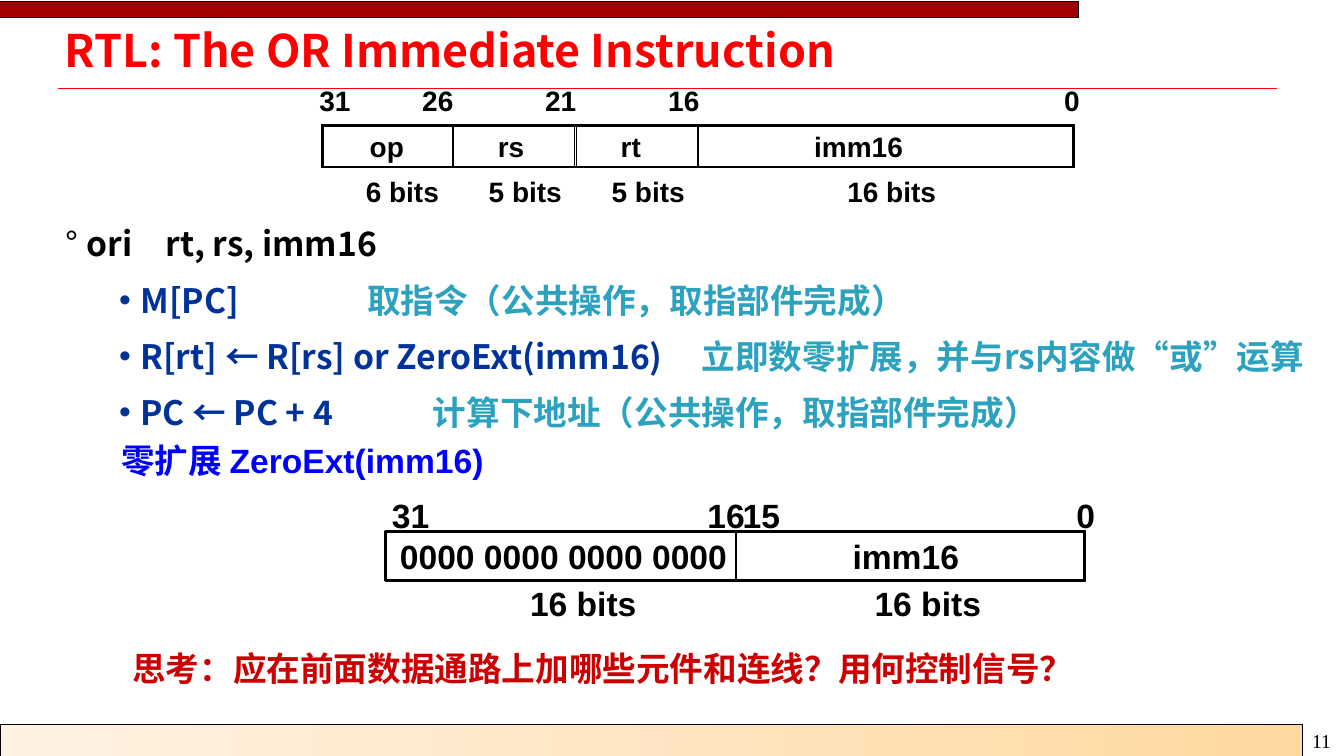
from dataclasses import dataclass
from lxml.etree import SubElement as Sub
from pptx import Presentation
from pptx.dml.color import RGBColor as RGB
from pptx.enum.shapes import MSO_CONNECTOR as Conn, MSO_SHAPE as Kind
from pptx.enum.text import MSO_ANCHOR as Anchor, MSO_AUTO_SIZE as Fit, PP_ALIGN as Align
from pptx.oxml.ns import qn
from pptx.util import Pt


@dataclass(frozen=True)
class Theme:
    black: str = "000000"
    red: str = "FF0000"
    bar: str = "A40000"
    navy: str = "003399"
    teal: str = "2DA2BF"
    blue: str = "0000FF"
    ask: str = "CC0000"
    pale: str = "FFF2E3"
    sand: str = "FFD8A0"
    sans: str = "Arial"
    cjk: str = "Noto Sans CJK SC"
    serif: str = "Times New Roman"
    head: int = 32
    text: int = 24
    small: int = 20
    page: int = 14


T = Theme()


def put(item, form):
    for key, val in form.items():
        setattr(item, key, val)


def pad(frame, side, top):
    put(frame, {"margin_left": Pt(side), "margin_right": Pt(side),
                "margin_top": Pt(top), "margin_bottom": Pt(top)})


def add_run(para, text, color, size=T.text, face=T.sans, bold=True):
    run = para.add_run()
    run.text = text
    put(run.font, {"size": Pt(size), "name": face, "bold": bold})
    run.font.color.rgb = RGB.from_string(color)
    Sub(run.font._element, qn("a:ea")).set("typeface", T.cjk)


def add_box(slide, place, wrap=True):
    frame = slide.shapes.add_textbox(*map(Pt, place)).text_frame
    put(frame, {"word_wrap": wrap, "auto_size": Fit.SHAPE_TO_FIT_TEXT})
    return frame


def add_note(slide, text, place, color, align=Align.LEFT):
    para = add_box(slide, place).paragraphs[0]
    para.alignment = align
    add_run(para, text, color)


def add_rect(slide, place, width, fill=None):
    rect = slide.shapes.add_shape(Kind.RECTANGLE, *map(Pt, place))
    rect.shadow.inherit = False
    rect.line.width = Pt(width)
    rect.line.color.rgb = RGB.from_string(T.black)
    if fill:
        rect.fill.solid()
        rect.fill.fore_color.rgb = RGB.from_string(fill)
    else:
        rect.fill.background()
    return rect


def add_frame(slide):
    rule = slide.shapes.add_connector(Conn.STRAIGHT, Pt(41.3), Pt(63.2), Pt(912.2), Pt(63.2))
    rule.line.width = Pt(1)
    rule.line.color.rgb = RGB.from_string(T.red)
    Sub(rule._element.spPr, qn("a:effectLst"))
    foot = add_rect(slide, (0, 517.2, 930.2, 23), 0.75)
    foot.fill.gradient()
    foot.fill.gradient_angle = 0
    for stop, color in zip(foot.fill.gradient_stops, (T.pale, T.sand)):
        stop.color.rgb = RGB.from_string(color)
    page = add_box(slide, (930.2, 517, 31, 24.5), False)
    add_run(page.paragraphs[0], "11", T.black, T.page, T.serif, False)
    add_rect(slide, (0, 0.9, 770.4, 11.5), 0.75, T.bar)


def add_title(slide, text):
    title = slide.shapes.title
    put(title, {"left": Pt(41.3), "top": Pt(19.4), "width": Pt(865.4), "height": Pt(37.4)})
    frame = title.text_frame
    pad(frame, 5, 2.2)
    put(frame, {"vertical_anchor": Anchor.MIDDLE, "word_wrap": True})
    para = frame.paragraphs[0]
    put(para, {"alignment": Align.LEFT, "line_spacing": 0.87})
    add_run(para, text, T.red, T.head, T.cjk)


def add_item(para, mark, left, hang, stop, runs):
    put(para, {"line_spacing": 1.05})
    props = para._p.get_or_add_pPr()
    props.set("marL", str(Pt(left)))
    props.set("indent", str(-Pt(hang)))
    Sub(props, qn("a:buFont")).set("typeface", T.sans)
    Sub(props, qn("a:buChar")).set("char", mark)
    tab = Sub(Sub(props, qn("a:tabLst")), qn("a:tab"))
    tab.set("pos", str(Pt(stop)))
    tab.set("algn", "l")
    for text, color in runs:
        add_run(para, text, color, face=T.cjk)


def add_steps(slide):
    frame = add_box(slide, (41.3, 155.8, 918.7, 154.8))
    pad(frame, 5, 2.2)
    add_item(frame.paragraphs[0], "°", 15.8, 15.8, 72, [("ori\trt, rs, imm16", T.black)])
    steps = [
        ("M[PC]", 216, "取指令（公共操作，取指部件完成）"),
        ("R[rt] ← R[rs] or ZeroExt(imm16)", 455, "立即数零扩展，并与rs内容做“或”运算"),
        ("PC ← PC + 4", 263, "计算下地址（公共操作，取指部件完成）"),
    ]
    for code, stop, gloss in steps:
        para = frame.add_paragraph()
        para.space_before = Pt(10)
        add_item(para, "•", 54, 15.1, stop, [(code + "\t", T.navy), (gloss, T.teal)])


def add_word(slide, outer, cells, rows, size):
    add_rect(slide, outer, 2)
    for left, width in cells:
        add_rect(slide, (left, outer[1] - 0.4, width, outer[3] + 1), 1)
    for top, labels in rows:
        for text, left, width in labels:
            frame = add_box(slide, (left, top, width, size * 2), False)
            pad(frame, 7.2, 3.6)
            add_run(frame.paragraphs[0], text, T.black, size)


def main():
    deck = Presentation()
    put(deck, {"slide_width": Pt(960), "slide_height": Pt(540)})
    slide = deck.slides.add_slide(deck.slide_layouts[5])
    add_frame(slide)
    add_title(slide, "RTL: The OR Immediate Instruction")
    add_steps(slide)
    add_word(
        slide, (230.4, 89.8, 536.4, 29.5),
        [(229.7, 93.6), (324, 86.4), (411.8, 86.4), (499, 268.6)],
        [
            (56.2, [("31", 221, 36.7), ("26", 294.5, 36.7), ("21", 382.3, 36.7),
                    ("16", 470.2, 36.7), ("0", 753.1, 25.9)]),
            (88.6, [("op", 257, 38.9), ("rs", 348.5, 33.1), ("rt", 436.3, 28.8),
                    ("imm16", 574.4, 78.5)]),
            (121, [("6 bits", 254.2, 72), ("5 bits", 342, 72), ("5 bits", 429.8, 72),
                   ("16 bits", 598.1, 84)]),
        ], T.small)
    add_word(
        slide, (275.5, 379.4, 499, 35.3), [(525.8, 249.4)],
        [
            (349.6, [("31", 272.9, 49), ("16", 498.2, 49), ("15", 523.4, 49),
                     ("0", 761.8, 33.1)]),
            (379.2, [("0000 0000 0000 0000", 278.6, 295.9), ("imm16", 601.9, 108)]),
            (412.6, [("16 bits", 371.5, 107.3), ("16 bits", 617.6, 107.3)]),
        ], T.text)
    add_note(slide, "零扩展 ZeroExt(imm16)", (36, 310.3, 360, 43.9), T.blue, Align.CENTER)
    add_note(slide, "思考：应在前面数据通路上加哪些元件和连线？用何控制信号？",
             (87.5, 459.4, 753.8, 36), T.ask)
    deck.save("out.pptx")


if __name__ == "__main__":
    main()
